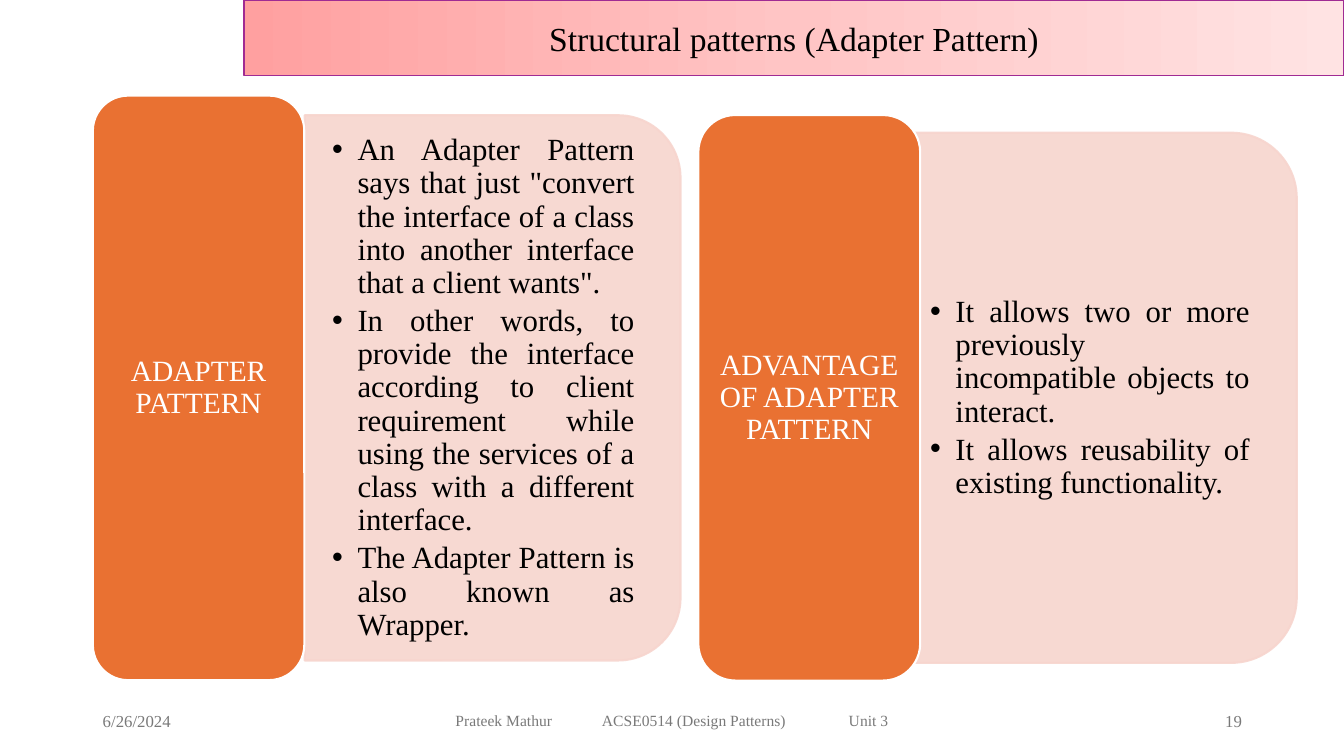
import copy
from dataclasses import dataclass

import pptx
import pptx.dml.color
import pptx.enum.shapes
import pptx.enum.text
import pptx.oxml
import pptx.oxml.ns
import pptx.util

Cm = pptx.util.Cm
Pt = pptx.util.Pt
RGB = pptx.dml.color.RGBColor.from_string
SHAPE = pptx.enum.shapes.MSO_SHAPE
ALIGN = pptx.enum.text.PP_ALIGN
MIDDLE = pptx.enum.text.MSO_ANCHOR.MIDDLE
qn = pptx.oxml.ns.qn


@dataclass(frozen=True)
class Theme:
    font: str = "Times New Roman"
    ink: str = "000000"
    white: str = "FFFFFF"
    muted: str = "797979"
    accent: str = "E97132"
    tint: str = "F7D5CE"
    banner: tuple = ("FFA0A0", "FFC5C5", "FFE3E3")
    banner_line: str = "A02B93"
    title_size: float = 24
    body_size: float = 22
    label_size: float = 21
    small_size: float = 12
    footer_size: float = 11.1


THEME = Theme()


def add_xml(parent, tag, **attrs):
    el = pptx.oxml.parse_xml(f"<a:{tag} {pptx.oxml.ns.nsdecls('a')}/>")
    for name, value in attrs.items():
        el.set(name, str(value))
    parent.append(el)
    return el


def write(tf, text, size, color, align=ALIGN.LEFT, insets=(0.25, 0.13),
          spacing=None, after=None, bullet=False, tabs=()):
    tf.word_wrap = True
    tf.auto_size = pptx.enum.text.MSO_AUTO_SIZE.NONE
    tf.vertical_anchor = MIDDLE
    tf.margin_left = tf.margin_right = Cm(insets[0])
    tf.margin_top = tf.margin_bottom = Cm(insets[1])
    for i, line in enumerate(text.split("\n")):
        p = tf.add_paragraph() if i else tf.paragraphs[0]
        p.alignment = align
        if spacing:
            p.line_spacing = spacing
        if after:
            p.space_after = Pt(after)
        pPr = p._p.get_or_add_pPr()
        if bullet:
            pPr.set("marL", str(Cm(0.64)))
            pPr.set("indent", str(-Cm(0.64)))
            add_xml(pPr, "buFont", typeface="Arial")
            add_xml(pPr, "buChar", char="•")
        if tabs:
            stops = add_xml(pPr, "tabLst")
            for pos in tabs:
                add_xml(stops, "tab", pos=Cm(pos), algn="l")
        r = p.add_run()
        r.text = line
        r.font.name = THEME.font
        r.font.size = Pt(size)
        r.font.color.rgb = RGB(color)


def add_block(s, kind, left, top, width, height, fill, line, alpha=None):
    sp = s.shapes.add_shape(kind, Cm(left), Cm(top), Cm(width), Cm(height))
    sp.shadow.inherit = False
    sp.fill.solid()
    sp.fill.fore_color.rgb = RGB(fill)
    sp.line.color.rgb = RGB(line)
    sp.line.width = Pt(1.5)
    if alpha:
        for clr in sp._element.spPr.iter(qn("a:srgbClr")):
            add_xml(clr, "alpha", val=alpha * 1000)
    return sp


def add_text(s, left, top, width, height, text, **fmt):
    box = s.shapes.add_textbox(Cm(left), Cm(top), Cm(width), Cm(height))
    write(box.text_frame, text, **fmt)


def title_banner(s, left, top, width, height, text):
    sp = s.shapes.title
    sp.left, sp.top, sp.width, sp.height = map(Cm, (left, top, width, height))
    sp.fill.gradient()
    sp.fill.gradient_angle = 0
    first = sp._element.spPr.find(".//" + qn("a:gs"))
    first.addnext(copy.deepcopy(first))
    for i, (stop, color) in enumerate(zip(sp.fill.gradient_stops, THEME.banner)):
        stop.position = i / 2
        stop.color.rgb = RGB(color)
    sp.line.color.rgb = RGB(THEME.banner_line)
    sp.line.width = Pt(1)
    write(sp.text_frame, text, THEME.title_size, THEME.ink, ALIGN.CENTER)


def pattern_panel(s, left, top, width, height, label, points, label_w, body_w, body_h):
    body_left = left + width - body_w
    mid_x, mid_y = body_left + body_w / 2, top + height / 2
    body = add_block(s, SHAPE.ROUND_2_SAME_RECTANGLE, mid_x - body_h / 2,
                     mid_y - body_w / 2, body_h, body_w,
                     THEME.tint, THEME.tint, alpha=90)
    body.rotation = 90
    corner = 0.05 * body_w
    add_text(s, body_left, mid_y - body_h / 2 + corner, body_w - corner,
             body_h - 2 * corner, "\n".join(points), size=THEME.body_size,
             color=THEME.ink, align=ALIGN.JUSTIFY, insets=(0.69, 0.36),
             spacing=0.9, after=3.3, bullet=True)
    tab = add_block(s, SHAPE.ROUNDED_RECTANGLE, left, top, label_w, height,
                    THEME.accent, THEME.white)
    write(tab.text_frame, label, THEME.label_size, THEME.white, ALIGN.CENTER,
          insets=(0.22, 0.11), spacing=0.9)


def footer(s, left, top, width, height, date, credits, number):
    side_w, mid_w = 7.62, 11.43
    add_text(s, left, top, side_w, height, date,
             size=THEME.small_size, color=THEME.muted)
    add_text(s, left + (width - mid_w) / 2, top, mid_w, height, "\t".join(credits),
             size=THEME.footer_size, color=THEME.muted, tabs=(3.69, 9.91))
    add_text(s, left + width - side_w, top, side_w, height, number,
             size=THEME.small_size, color=THEME.muted, align=ALIGN.RIGHT)


def main():
    prs = pptx.Presentation()
    prs.slide_width, prs.slide_height = Cm(33.87), Cm(19.05)
    s = prs.slides.add_slide(prs.slide_layouts[5])
    title_banner(s, 6.15, 0, 27.72, 1.91, "Structural patterns (Adapter Pattern)")
    pattern_panel(s, 2.34, 2.41, 14.81, 14.73, "ADAPTER PATTERN", [
        'An Adapter Pattern says that just "convert the interface of a class '
        'into another interface that a client wants".',
        "In other words, to provide the interface according to client requirement "
        "while using the services of a class with a different interface.",
        "The Adapter Pattern is also known as Wrapper.",
    ], label_w=5.33, body_w=9.47, body_h=13.74)
    pattern_panel(s, 17.6, 2.9, 15.08, 14.25, "ADVANTAGE OF ADAPTER PATTERN", [
        "It allows two or more previously incompatible objects to interact.",
        "It allows reusability of existing functionality.",
    ], label_w=5.59, body_w=9.93, body_h=13.36)
    footer(s, 2.34, 17.65, 29.21, 1.02, "6/26/2024",
           ("Prateek Mathur", "ACSE0514 (Design Patterns)", "Unit 3"), "19")
    prs.save("out.pptx")


if __name__ == "__main__":
    main()
